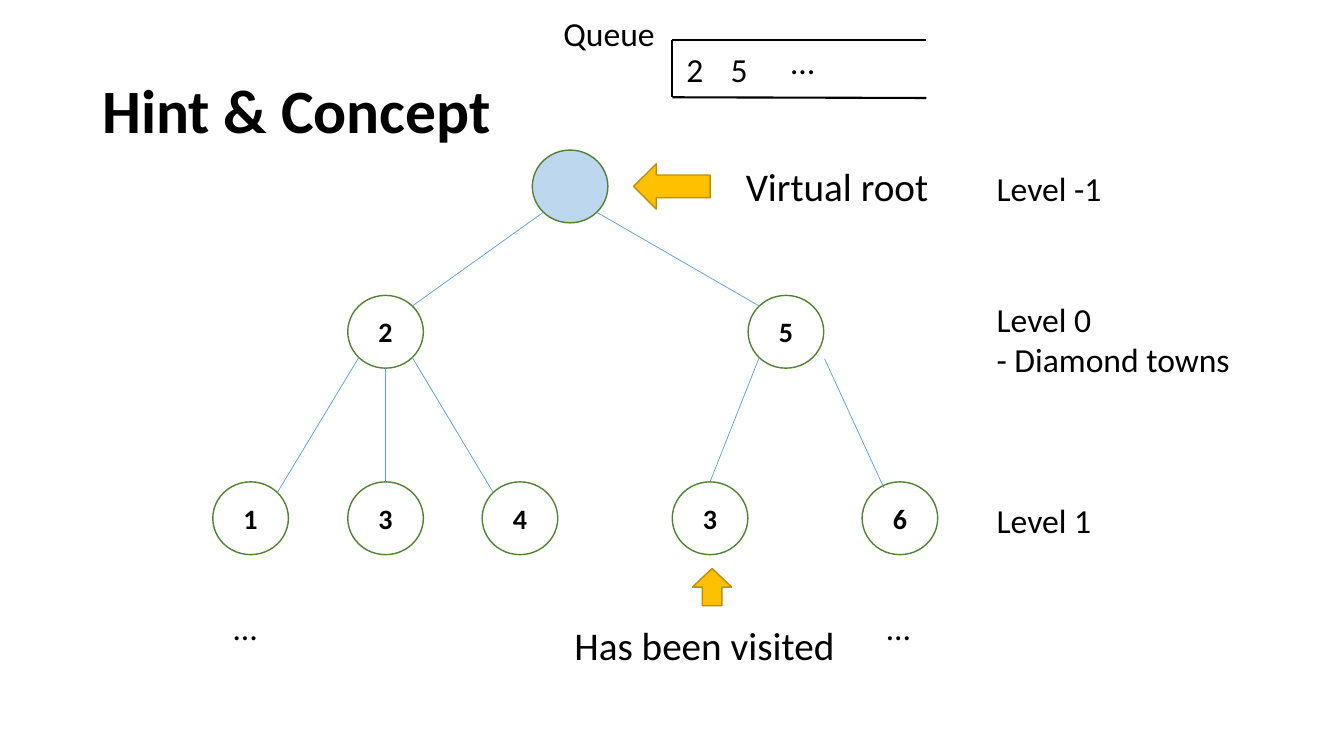
from lxml import etree
from pptx import Presentation
from pptx import util as u
from pptx.dml import color
from pptx.enum import shapes, text
from pptx.oxml import ns

COLORS = {
    "black": "000000", "white": "FFFFFF", "root": "BDD7EE", "ring": "538035",
    "edge": "5B9BD5", "arrow": "FFC000", "arrow_line": "BD8E00",
}
NODE_W, NODE_H = 54, 52
DIAGONAL_X, DIAGONAL_Y = 19.1, 18.4
ROOT_Y, TOWN_Y, LEAF_Y = 133.2, 237, 370.2


class TreeSlide:
    """Draws the parts of a search tree slide in one shared style."""

    def __init__(self, deck):
        self.font = "Calibri"
        self.page = deck.slides.add_slide(deck.slide_layouts[6])

    def rgb(self, name):
        return color.RGBColor.from_string(COLORS[name])

    def fill_text(self, frame, words, size, bold=False):
        frame.text = words
        for para in frame.paragraphs:
            for span in para.runs:
                span.font.name = self.font
                span.font.size = u.Pt(size)
                span.font.bold = bold
                span.font.color.rgb = self.rgb("black")

    def label(self, words, left, top, width, height, size=24):
        box = self.page.shapes.add_textbox(*map(u.Pt, (left, top, width, height)))
        frame = box.text_frame
        frame.word_wrap = True
        frame.auto_size = text.MSO_AUTO_SIZE.SHAPE_TO_FIT_TEXT
        self.fill_text(frame, words, size)

    def title(self, words):
        box = self.page.shapes.add_textbox(*map(u.Pt, (66, 28.8, 828, 104.4)))
        frame = box.text_frame
        frame.word_wrap = True
        frame.vertical_anchor = text.MSO_ANCHOR.MIDDLE
        self.fill_text(frame, words, 44, bold=True)
        frame.paragraphs[0].line_spacing = 0.9

    def shape(self, kind, left, top, width, height, fill, line):
        shape = self.page.shapes.add_shape(kind, *map(u.Pt, (left, top, width, height)))
        shape.shadow.inherit = False
        shape.fill.solid()
        shape.fill.fore_color.rgb = self.rgb(fill)
        shape.line.color.rgb = self.rgb(line)
        shape.line.width = u.Pt(1)
        return shape

    def node(self, center, words="", fill="white"):
        x, y = center
        circle = self.shape(shapes.MSO_SHAPE.OVAL, x - NODE_W / 2, y - NODE_H / 2,
                            NODE_W, NODE_H, fill, "ring")
        if words:
            frame = circle.text_frame
            frame.vertical_anchor = text.MSO_ANCHOR.MIDDLE
            self.fill_text(frame, words, 20, bold=True)
            frame.paragraphs[0].alignment = text.PP_ALIGN.CENTER

    def arrow(self, kind, left, top, width, height, turn=0):
        arrow = self.shape(kind, left, top, width, height, "arrow", "arrow_line")
        arrow.rotation = turn

    def line(self, start, end, stroke="edge", width=0.5):
        line = self.page.shapes.add_connector(
            shapes.MSO_CONNECTOR.STRAIGHT, *map(u.Pt, (*start, *end)))
        line.line.color.rgb = self.rgb(stroke)
        line.line.width = u.Pt(width)
        etree.SubElement(line._element.spPr, ns.qn("a:effectLst"))

    def edge(self, parent, parent_side, child, child_side):
        ends = []
        for (x, y), side, down in ((parent, parent_side, 1), (child, child_side, -1)):
            rise = DIAGONAL_Y if side else NODE_H / 2
            ends.append((x + side * DIAGONAL_X, y + down * rise))
        self.line(*ends)


def main():
    deck = Presentation()
    deck.slide_width, deck.slide_height = u.Pt(960), u.Pt(540)
    slide = TreeSlide(deck)
    slide.title("Hint & Concept")

    root = (407.2, ROOT_Y)
    town_two, town_five = (275.4, TOWN_Y), (561.4, TOWN_Y)
    leaves = [(x, LEAF_Y) for x in (179, 275.4, 371.4, 507.2, 642.8)]
    slide.node(root, fill="root")
    slide.node(town_two, "2")
    slide.node(town_five, "5")
    for center, number in zip(leaves, "13436"):
        slide.node(center, number)

    slide.edge(root, -1, town_two, 1)
    slide.edge(root, 1, town_five, -1)
    for side, leaf in zip((-1, 0, 1), leaves):
        slide.edge(town_two, side, leaf, -side)
    slide.edge(town_five, -1, leaves[3], 0)
    slide.line((589, 256.3), (631.4, 348.5))

    slide.arrow(shapes.MSO_SHAPE.DOWN_ARROW, 463.7, 105.8, 32.4, 54.7, turn=90)
    slide.arrow(shapes.MSO_SHAPE.UP_ARROW, 494.6, 406.1, 28.1, 26.6)
    slide.label("Virtual root", 525.6, 112.3, 267.8, 41, size=28)
    slide.label("Has been visited", 403.2, 439.9, 214.6, 41, size=28)

    for words, top, height in (("Level -1", 116.6, 36),
                               ("Level 0\n- Diamond towns", 209.9, 65.5),
                               ("Level 1", 353.5, 36)):
        slide.label(words, 704.8, top, 235.4, height)
    for left in (159.8, 626.4):
        slide.label("…", left, 429.8, 235.4, 36)

    left, right, top, bottom = 480.2, 661.7, 28.8, 69.5
    for start, end in (((left, top), (right, top)),
                       ((left, top), (left, bottom)),
                       ((left, bottom), (right, bottom + 0.5))):
        slide.line(start, end, "black", 1.5)
    for words, x, y, width in (("Queue", 395.3, 5.8, 123), ("2", 483.1, 31.2, 39.6),
                               ("5", 514.8, 31.4, 39.6), ("…", 558, 25.9, 123)):
        slide.label(words, x, y, width, 36)

    deck.save("out.pptx")


if __name__ == "__main__":
    main()
